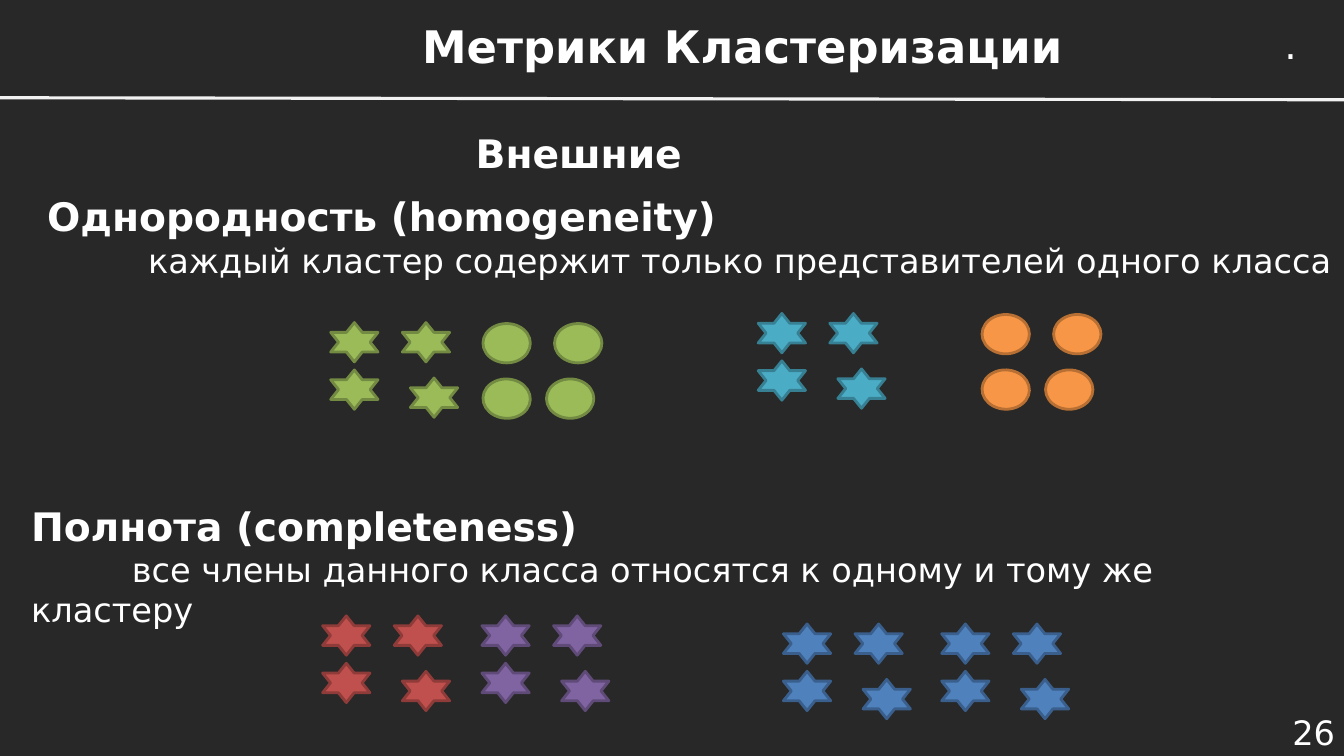
from lxml import etree
from pptx import Presentation, util as u
from pptx.dml import color
from pptx.enum import shapes, text
from pptx.oxml import ns

STAR = shapes.MSO_SHAPE.STAR_6_POINT
OVAL = shapes.MSO_SHAPE.OVAL
MIDDLE = text.MSO_ANCHOR.MIDDLE
ALIGN = text.PP_ALIGN

# Offsets inside a group: top left, low left, low right, top right
STARS = [(0, 0), (0, 0.47), (0.79, 0.55), (0.71, 0)]
OVALS = [(0, 0), (0, 0.55), (0.63, 0.55), (0.71, 0)]

# Fill and outline
GREEN = ("9BBB59", "738A42")
TEAL = ("4BACC6", "377F92")
ORANGE = ("F79646", "B76F34")
RED = ("C0504D", "8E3B39")
PURPLE = ("8064A2", "5F4A78")
BLUE = ("4F81BD", "3A5F8C")


def rgb(code):
    return color.RGBColor.from_string(code)


class Board:
    font = "DejaVu Sans"
    ink = "FFFFFF"

    def __init__(self, deck, back):
        self.slide = deck.slides.add_slide(deck.slide_layouts[6])
        fill = self.slide.background.fill
        fill.solid()
        fill.fore_color.rgb = rgb(back)

    def label(self, place, lines, align=ALIGN.LEFT, anchor=text.MSO_ANCHOR.TOP, wrap=True):
        """Each line is (words, size, bold, first-line indent)."""
        box = self.slide.shapes.add_textbox(*map(u.Inches, place))
        frame = box.text_frame
        frame.word_wrap = wrap
        frame.vertical_anchor = anchor
        for i, (words, size, bold, indent) in enumerate(lines):
            para = frame.paragraphs[0] if i == 0 else frame.add_paragraph()
            para.text = words
            para.alignment = align
            if indent:
                para._p.get_or_add_pPr().set("indent", str(u.Inches(indent)))
            font = para.font
            font.name, font.size, font.bold = self.font, u.Pt(size), bold
            font.color.rgb = rgb(self.ink)

    def rule(self, start, end, code, width):
        line = self.slide.shapes.add_connector(
            shapes.MSO_CONNECTOR.STRAIGHT, *map(u.Inches, start + end))
        line.line.color.rgb = rgb(code)
        line.line.width = u.Pt(width)
        etree.SubElement(line._element.spPr, ns.qn("a:effectLst"))

    def group(self, kind, left, top, paint):
        """Four marks of one kind and colour."""
        for i, (dx, dy) in enumerate(STARS if kind == STAR else OVALS):
            mark = self.slide.shapes.add_shape(
                kind, u.Inches(left + dx), u.Inches(top + dy), u.Inches(0.47), u.Inches(0.39))
            mark.shadow.inherit = False
            mark.fill.solid()
            mark.fill.fore_color.rgb = rgb(paint[0])
            mark.line.color.rgb = rgb(paint[1])
            mark.line.width = u.Pt(2)
            if kind == OVAL and i == 1:
                mark.rotation = 2.5


def main():
    deck = Presentation()
    deck.slide_width, deck.slide_height = u.Inches(13.33), u.Inches(7.5)
    board = Board(deck, "272827")

    # Header and page number
    board.label((3.44, 0.19, 7.85, 0.53), [("Метрики Кластеризации", 32, True, 0)],
                ALIGN.CENTER, MIDDLE)
    board.label((12.64, 0.15, 0.34, 0.57), [(".", 28, False, 0)], wrap=False)
    board.rule((0, 0.97), (13.33, 0.99), "F2F2F2", 2.25)
    board.label((12.29, 7.05, 1.05, 0.42), [("26", 24, False, 0)], ALIGN.RIGHT, MIDDLE)

    # Metrics
    board.label((4.62, 1.23, 3.25, 0.57), [("Внешние", 28, True, 0)])
    board.label((0.37, 1.86, 13.15, 0.98), [
        ("Однородность (homogeneity)", 28, True, 0),
        ("каждый кластер содержит только представителей одного класса", 24, False, 1)])
    board.label((0.21, 4.93, 12.91, 0.98), [
        ("Полнота (completeness)", 28, True, 0),
        ("все члены данного класса относятся к одному и тому же кластеру", 24, False, 1)])

    # Clusters
    for kind, left, top, paint in [
        (STAR, 3.28, 3.2, GREEN), (OVAL, 4.79, 3.21, GREEN),
        (STAR, 7.52, 3.11, TEAL), (OVAL, 9.74, 3.12, ORANGE),
        (STAR, 3.2, 6.11, RED), (STAR, 4.78, 6.11, PURPLE),
        (STAR, 7.77, 6.19, BLUE), (STAR, 9.34, 6.19, BLUE),
    ]:
        board.group(kind, left, top, paint)

    deck.save("out.pptx")


if __name__ == "__main__":
    main()
